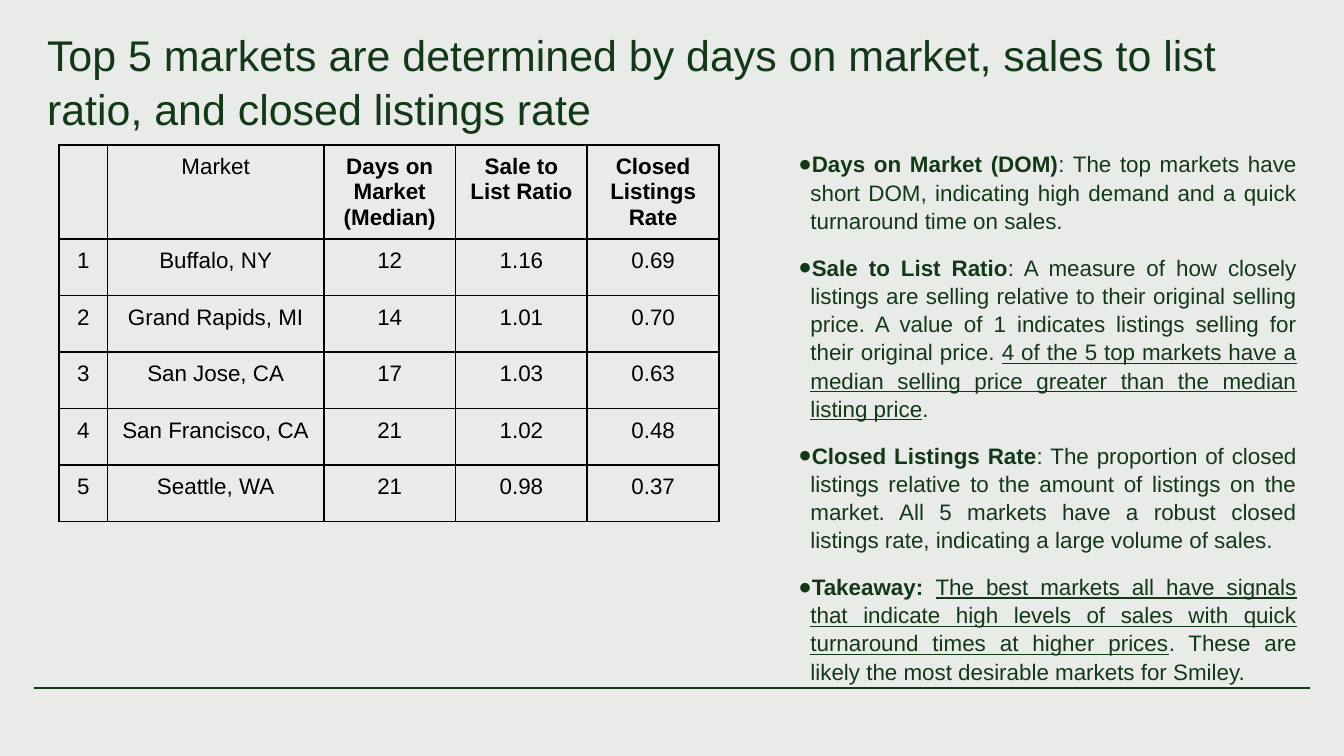
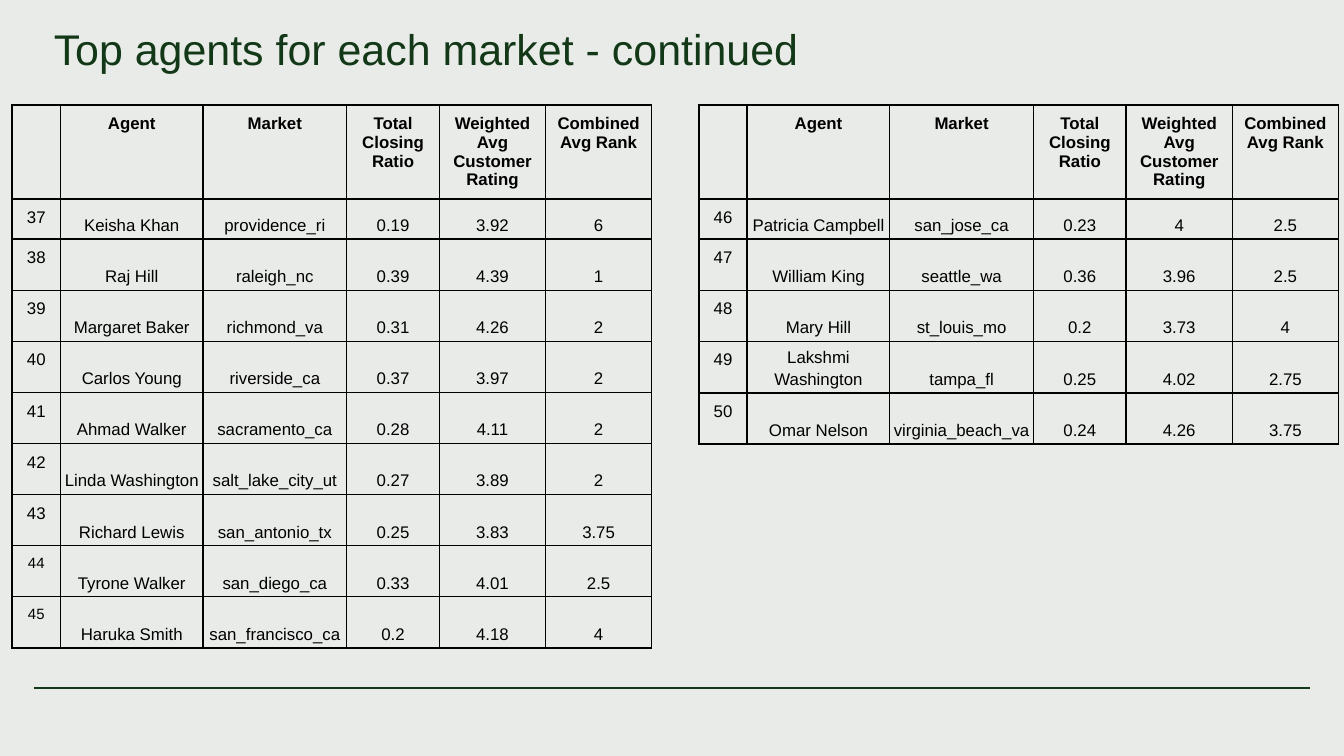
from dataclasses import dataclass
from typing import Callable, NamedTuple

import pptx
import pptx.dml.color
import pptx.enum.shapes
import pptx.enum.text
import pptx.oxml
import pptx.oxml.ns
import pptx.util
from lxml import etree

Inches, Pt = pptx.util.Inches, pptx.util.Pt
Align, Anchor = pptx.enum.text.PP_ALIGN, pptx.enum.text.MSO_ANCHOR
qn = pptx.oxml.ns.qn


@dataclass(frozen=True)
class Theme:
    font: str = "Arial"
    paper: str = "E9EBE8"
    green: str = "133817"
    black: str = "000000"
    title_size: float = 23
    body_size: float = 12
    agent_size: float = 9
    small_rank_size: float = 8
    prose_spacing: float = 1.05


THEME = Theme()


class Frame(NamedTuple):
    """Position and size in percent of the slide's width and height."""
    left: float
    top: float
    width: float
    height: float


class Span(NamedTuple):
    text: str
    bold: bool = False
    underline: bool = False


class CellStyle(NamedTuple):
    size: float
    bold: bool = False
    margin: float = 0.07
    anchor: Anchor = Anchor.TOP
    spacing: float = 1.0


class Grid(NamedTuple):
    """A ruled table; column widths and row heights are percent of the slide."""
    left: float
    top: float
    columns: list[float]
    rows: list[float]
    cells: list[list[str]]


MARKET_COLUMNS = [3.6, 16.1] + [9.8] * 3
MARKETS = [
    ["", "Market", "Days on Market (Median)", "Sale to List Ratio", "Closed Listings Rate"],
    ["1", "Buffalo, NY", "12", "1.16", "0.69"],
    ["2", "Grand Rapids, MI", "14", "1.01", "0.70"],
    ["3", "San Jose, CA", "17", "1.03", "0.63"],
    ["4", "San Francisco, CA", "21", "1.02", "0.48"],
    ["5", "Seattle, WA", "21", "0.98", "0.37"],
]

FINDINGS = [
    [Span("Days on Market (DOM)", bold=True),
     Span(": The top markets have short DOM, indicating high demand and a quick "
          "turnaround time on sales.")],
    [Span("Sale to List Ratio", bold=True),
     Span(": A measure of how closely listings are selling relative to their original "
          "selling price. A value of 1 indicates listings selling for their original price. "),
     Span("4 of the 5 top markets have a median selling price greater than the median "
          "listing price", underline=True),
     Span(".")],
    [Span("Closed Listings Rate", bold=True),
     Span(": The proportion of closed listings relative to the amount of listings on the "
          "market. All 5 markets have a robust closed listings rate, indicating a large "
          "volume of sales.")],
    [Span("Takeaway: ", bold=True),
     Span("The best markets all have signals that indicate high levels of sales with quick "
          "turnaround times at higher prices", underline=True),
     Span(". These are likely the most desirable markets for Smiley.")],
]

AGENT_COLUMNS = [3.6, 10.6, 10.7, 6.9, 7.9, 7.9]
AGENT_HEADER = ["", "Agent", "Market", "Total Closing Ratio",
                "Weighted Avg Customer Rating", "Combined Avg Rank"]
FIRST_AGENT = 37
LEFT_AGENTS = 9
SMALL_RANKS = {"44", "45"}
AGENTS = [
    ["Keisha Khan", "providence_ri", "0.19", "3.92", "6"],
    ["Raj Hill", "raleigh_nc", "0.39", "4.39", "1"],
    ["Margaret Baker", "richmond_va", "0.31", "4.26", "2"],
    ["Carlos Young", "riverside_ca", "0.37", "3.97", "2"],
    ["Ahmad Walker", "sacramento_ca", "0.28", "4.11", "2"],
    ["Linda Washington", "salt_lake_city_ut", "0.27", "3.89", "2"],
    ["Richard Lewis", "san_antonio_tx", "0.25", "3.83", "3.75"],
    ["Tyrone Walker", "san_diego_ca", "0.33", "4.01", "2.5"],
    ["Haruka Smith", "san_francisco_ca", "0.2", "4.18", "4"],
    ["Patricia Campbell", "san_jose_ca", "0.23", "4", "2.5"],
    ["William King", "seattle_wa", "0.36", "3.96", "2.5"],
    ["Mary Hill", "st_louis_mo", "0.2", "3.73", "4"],
    ["Lakshmi Washington", "tampa_fl", "0.25", "4.02", "2.75"],
    ["Omar Nelson", "virginia_beach_va", "0.24", "4.26", "3.75"],
]

SLIDE_WIDTH = Inches(10)
SLIDE_HEIGHT = SLIDE_WIDTH * 9 // 16


def across(percent: float) -> int:
    return round(SLIDE_WIDTH * percent / 100)


def down(percent: float) -> int:
    return round(SLIDE_HEIGHT * percent / 100)


def colour(value: str) -> pptx.dml.color.RGBColor:
    return pptx.dml.color.RGBColor.from_string(value)


def format_font(font, size: float, ink: str, bold: bool = False, underline: bool = False) -> None:
    font.name, font.size = THEME.font, Pt(size)
    font.bold, font.underline = bold, underline
    font.color.rgb = colour(ink)


def place(box, frame: Frame, bottom_inset: float = 0.1) -> None:
    """Move a placeholder and give it fixed insets, top anchor and no autofit."""
    box.left, box.top = across(frame.left), down(frame.top)
    box.width, box.height = across(frame.width), down(frame.height)
    text = box.text_frame
    text.margin_left = text.margin_top = text.margin_right = Inches(0.1)
    text.margin_bottom = Inches(bottom_inset)
    text.vertical_anchor = Anchor.TOP
    text.word_wrap = True
    text.auto_size = pptx.enum.text.MSO_AUTO_SIZE.NONE


def add_title(page, words: str, left: float, top: float) -> None:
    title = page.shapes.title
    place(title, Frame(left, top, 95, 9.42))
    title.text_frame.text = words
    para = title.text_frame.paragraphs[0]
    para.alignment = Align.LEFT
    para.line_spacing = THEME.prose_spacing
    format_font(para.runs[0].font, THEME.title_size, THEME.green)


def add_bullet(para) -> None:
    properties = para._p.get_or_add_pPr()
    properties.set("marL", str(Inches(0.26)))
    properties.set("indent", str(Inches(-0.09)))
    ink = etree.SubElement(properties, qn("a:buClr"))
    etree.SubElement(ink, qn("a:srgbClr"), val=THEME.green)
    etree.SubElement(properties, qn("a:buFont"), typeface=THEME.font)
    etree.SubElement(properties, qn("a:buChar"), char="●")


def add_findings(page, frame: Frame, findings: list[list[Span]]) -> None:
    body = page.placeholders[1]
    place(body, frame, bottom_inset=0.5)
    text = body.text_frame
    for index, spans in enumerate(findings):
        para = text.add_paragraph() if index else text.paragraphs[0]
        add_bullet(para)
        para.alignment = Align.JUSTIFY
        para.line_spacing = THEME.prose_spacing
        para.space_before = Pt(10 if index else 0)
        for span in spans:
            run = para.add_run()
            run.text = span.text
            format_font(run.font, THEME.body_size, THEME.green, span.bold, span.underline)


def rule_cell(cell) -> None:
    """Draw a thin border on all four sides of a cell and clear its fill."""
    properties = cell._tc.get_or_add_tcPr()
    for side in ("lnL", "lnR", "lnT", "lnB"):
        line = etree.SubElement(properties, qn(f"a:{side}"), w=str(Pt(1)))
        fill = etree.SubElement(line, qn("a:solidFill"))
        etree.SubElement(fill, qn("a:srgbClr"), val=THEME.black)
    cell.fill.background()


def fill_cell(cell, words: str, style: CellStyle) -> None:
    rule_cell(cell)
    cell.margin_left = cell.margin_right = Inches(style.margin)
    cell.margin_top = cell.margin_bottom = Inches(style.margin)
    cell.vertical_anchor = style.anchor
    if not words:
        return
    cell.text_frame.text = words
    para = cell.text_frame.paragraphs[0]
    para.alignment = Align.CENTER
    para.line_spacing = style.spacing
    format_font(para.runs[0].font, style.size, THEME.black, style.bold)


def add_grid(page, grid: Grid, style_of: Callable[[int, int, str], CellStyle]) -> None:
    """Draw a table; style_of(row, column, words) chooses each cell's style."""
    table = page.shapes.add_table(
        len(grid.rows), len(grid.columns), across(grid.left), down(grid.top),
        across(sum(grid.columns)), down(sum(grid.rows))).table
    table.first_row = table.horz_banding = False
    for column, width in zip(table.columns, grid.columns):
        column.width = across(width)
    for row, height in zip(table.rows, grid.rows):
        row.height = down(height)
    for row, line in enumerate(grid.cells):
        for column, words in enumerate(line):
            fill_cell(table.cell(row, column), words, style_of(row, column, words))


def market_style(row: int, column: int, words: str) -> CellStyle:
    return CellStyle(THEME.body_size, bold=row == 0 and column > 1)


def agent_style(row: int, column: int, words: str) -> CellStyle:
    if row == 0:
        return CellStyle(THEME.agent_size, bold=True)
    if column == 0:
        return CellStyle(THEME.small_rank_size if words in SMALL_RANKS else THEME.agent_size)
    return CellStyle(THEME.agent_size, margin=0.03, anchor=Anchor.BOTTOM, spacing=1.15)


def add_agents(page, left: float, agents: list[list[str]]) -> None:
    rows = [9.42, 5.33] + [6.76] * (len(agents) - 1)
    add_grid(page, Grid(left, 13.87, AGENT_COLUMNS, rows, [AGENT_HEADER] + agents), agent_style)


def style_master(deck, page) -> None:
    """Give the master its background and the footer rule, drawn by way of a page."""
    master = deck.slide_master
    master.background.fill.solid()
    master.background.fill.fore_color.rgb = colour(THEME.paper)
    rule = page.shapes.add_connector(
        pptx.enum.shapes.MSO_CONNECTOR.STRAIGHT,
        across(2.5), down(91.02), across(97.5), down(91.02))
    rule.line.color.rgb = colour(THEME.green)
    rule.line.width = Pt(0.75)
    etree.SubElement(rule.element.spPr, qn("a:effectLst"))
    master.shapes.element.append(rule.element)


def build_markets(deck):
    page = deck.slides.add_slide(deck.slide_layouts.get_by_name("Title and Content"))
    add_title(page, "Top 5 markets are determined by days on market, sales to list ratio, "
                    "and closed listings rate", 2.5, 1.6)
    add_grid(page, Grid(4.4, 19.2, MARKET_COLUMNS, [7.47] * len(MARKETS), MARKETS), market_style)
    add_findings(page, Frame(56.7, 17.96, 40.8, 68.27), FINDINGS)
    return page


def build_agents(deck) -> None:
    page = deck.slides.add_slide(deck.slide_layouts.get_by_name("Title Only"))
    add_title(page, "Top agents for each market - continued", 3, 0.89)
    ranked = [[str(rank)] + agent for rank, agent in enumerate(AGENTS, FIRST_AGENT)]
    add_agents(page, 0.9, ranked[:LEFT_AGENTS])
    add_agents(page, 52, ranked[LEFT_AGENTS:])


def main() -> None:
    deck = pptx.Presentation()
    deck.slide_width, deck.slide_height = SLIDE_WIDTH, SLIDE_HEIGHT
    style_master(deck, build_markets(deck))
    build_agents(deck)
    deck.save("out.pptx")


if __name__ == "__main__":
    main()
